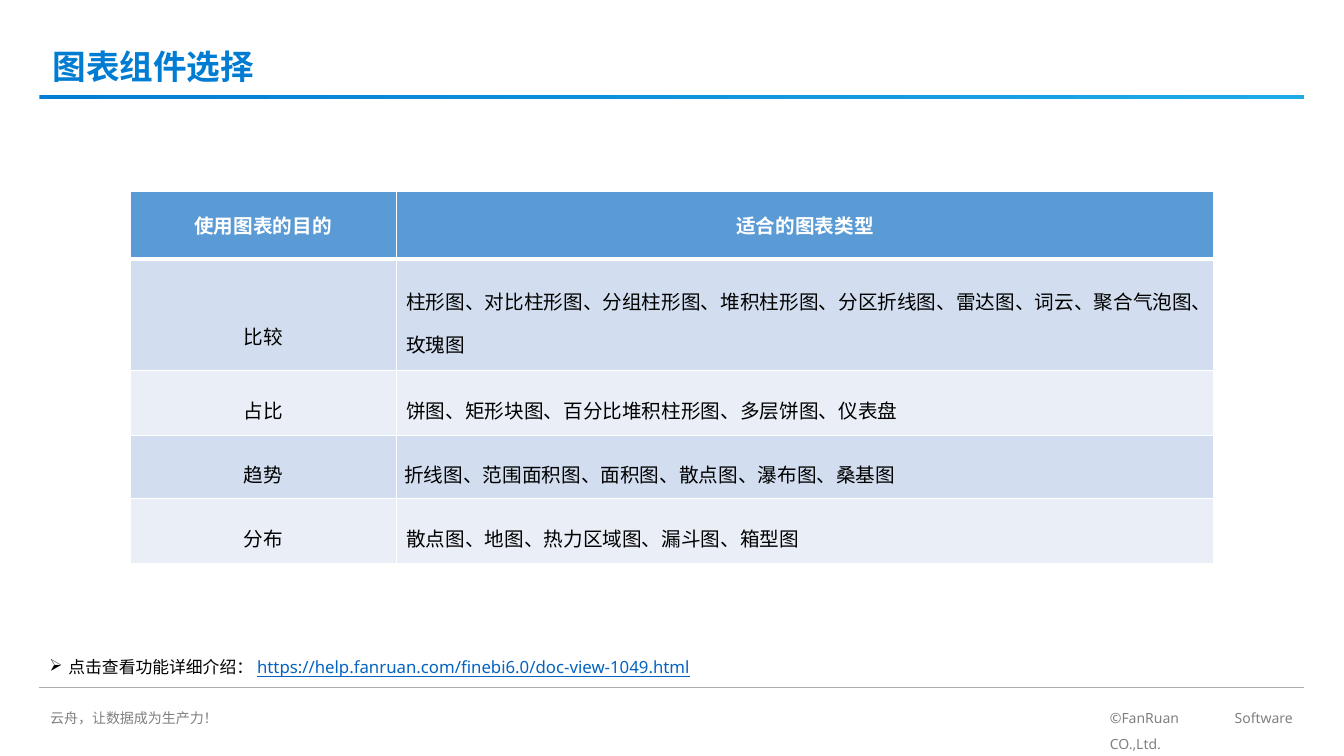
import pptx
import pptx.util
from lxml import etree
from pptx.dml.color import RGBColor
from pptx.enum.dml import MSO_THEME_COLOR
from pptx.enum.shapes import MSO_CONNECTOR, MSO_SHAPE
from pptx.enum.text import MSO_ANCHOR, PP_ALIGN
from pptx.oxml.ns import qn
from pptx.util import Inches, Pt

BLUE = RGBColor(0x00, 0x7D, 0xD2)
LIGHT_BLUE = RGBColor(0x1E, 0xAA, 0xE6)
HEADER_BLUE = RGBColor(0x5B, 0x9B, 0xD5)
BANDS = (RGBColor(0xD2, 0xDE, 0xEF), RGBColor(0xEA, 0xEF, 0xF7))
LINK_BLUE = RGBColor(0x05, 0x63, 0xC1)
GREY = RGBColor(0x80, 0x80, 0x80)
RULE_GREY = RGBColor(0xAF, 0xAB, 0xAB)
BLACK = RGBColor(0, 0, 0)
WHITE = RGBColor(0xFF, 0xFF, 0xFF)

ROWS = [
    ("使用图表的目的", "适合的图表类型"),
    ("比较", "柱形图、对比柱形图、分组柱形图、堆积柱形图、分区折线图、雷达图、词云、聚合气泡图、玫瑰图"),
    ("占比", "饼图、矩形块图、百分比堆积柱形图、多层饼图、仪表盘"),
    ("趋势", "折线图、范围面积图、面积图、散点图、瀑布图、桑基图"),
    ("分布", "散点图、地图、热力区域图、漏斗图、箱型图"),
]
COLUMN_WIDTHS = (2.64, 8.11)
ROW_HEIGHTS = (0.67, 1.11, 0.64, 0.63, 0.64)


class SlideBuilder:
    font = "Noto Sans"

    def __init__(self, page):
        self.page = page

    def style(self, para, size, color, bold=False, font=None):
        para.font.name = font or self.font
        para.font.size = Pt(size)
        para.font.color.rgb = color
        para.font.bold = bold

    def title(self, text, left, top, width, height):
        title = self.page.shapes.title
        title.left, title.top = Inches(left), Inches(top)
        title.width, title.height = Inches(width), Inches(height)
        title.text_frame.text = text
        title.text_frame.vertical_anchor = MSO_ANCHOR.MIDDLE
        para = title.text_frame.paragraphs[0]
        para.alignment = PP_ALIGN.LEFT
        para.line_spacing = 0.9
        self.style(para, 24, BLUE, bold=True)

    def gradient_bar(self, left, top, width, height):
        bar = self.page.shapes.add_shape(
            MSO_SHAPE.RECTANGLE, Inches(left), Inches(top), Inches(width), Inches(height))
        bar.shadow.inherit = False
        bar.line.fill.background()
        bar.fill.gradient()
        bar.fill.gradient_angle = 0
        for stop, color, position in zip(bar.fill.gradient_stops, (BLUE, LIGHT_BLUE), (0, 1)):
            stop.color.rgb = color
            stop.position = position

    def rule(self, left, right, top):
        rule = self.page.shapes.add_connector(
            MSO_CONNECTOR.STRAIGHT, Inches(left), Inches(top), Inches(right), Inches(top))
        rule.line.color.rgb = RULE_GREY
        rule.line.width = Pt(0.5)
        etree.SubElement(rule._element.spPr, qn("a:effectLst"))

    def text_box(self, left, top, width, height):
        """Add a wrapping text box and return its first paragraph."""
        box = self.page.shapes.add_textbox(
            Inches(left), Inches(top), Inches(width), Inches(height))
        box.text_frame.word_wrap = True
        return box.text_frame.paragraphs[0]

    def footer(self, text, left, width, font=None):
        para = self.text_box(left, 6.91, width, 0.33)
        para.text = text
        para.alignment = PP_ALIGN.JUSTIFY
        para.line_spacing = 1.5
        self.style(para, 10, GREY, font=font)

    def bullet_link(self, label, address, left, top, width, height):
        para = self.text_box(left, top, width, height)
        properties = para._p.get_or_add_pPr()
        properties.set("marL", str(Inches(0.19)))
        properties.set("indent", str(-Inches(0.19)))
        etree.SubElement(properties, qn("a:buChar"), char="➢")
        para.add_run().text = label
        span = para.add_run()
        span.text = address
        self.style(para, 12, BLACK)
        span.font.color.rgb = LINK_BLUE
        span.font.underline = True

    def borders(self, cell, bottom, top):
        properties = cell._tc.get_or_add_tcPr()
        widths = {"lnL": 1, "lnR": 1, "lnT": top, "lnB": bottom}
        for index, (side, width) in enumerate(widths.items()):
            line = etree.Element(qn(f"a:{side}"), w=str(Pt(width)))
            fill = etree.SubElement(line, qn("a:solidFill"))
            etree.SubElement(fill, qn("a:srgbClr"), val=str(WHITE))
            properties.insert(index, line)

    def table(self, left, top):
        table = self.page.shapes.add_table(
            len(ROWS), len(COLUMN_WIDTHS), Inches(left), Inches(top),
            Inches(sum(COLUMN_WIDTHS)), Inches(sum(ROW_HEIGHTS))).table
        for column, width in zip(table.columns, COLUMN_WIDTHS):
            column.width = Inches(width)
        for row, height in zip(table.rows, ROW_HEIGHTS):
            row.height = Inches(height)
        for row_index, texts in enumerate(ROWS):
            header = row_index == 0
            for column_index, text in enumerate(texts):
                cell = table.cell(row_index, column_index)
                cell.text = text
                cell.vertical_anchor = MSO_ANCHOR.MIDDLE
                cell.fill.solid()
                cell.fill.fore_color.rgb = HEADER_BLUE if header else BANDS[(row_index - 1) % 2]
                self.borders(cell, bottom=3 if header else 1, top=3 if row_index == 1 else 1)
                para = cell.text_frame.paragraphs[0]
                centred = header or column_index == 0
                para.alignment = PP_ALIGN.CENTER if centred else PP_ALIGN.LEFT
                if not header:
                    para.line_spacing = 1.5
                self.style(para, 14, WHITE if header else BLACK, bold=header)
        table.cell(1, 0).text_frame.paragraphs[0].line_spacing = 2.5
        trend = table.cell(3, 1)
        trend.margin_left = trend.margin_right = Inches(0.08)
        trend.margin_top = trend.margin_bottom = Inches(0.04)


def main():
    deck = pptx.Presentation()
    deck.slide_width, deck.slide_height = Inches(13.33), Inches(7.5)
    builder = SlideBuilder(deck.slides.add_slide(deck.slide_layouts[5]))
    builder.gradient_bar(0.39, 0.94, 12.54, 0.04)
    builder.rule(0.39, 12.93, 6.82)
    builder.footer("©FanRuan Software CO.,Ltd.", 10.91, 2.01)
    builder.footer("云舟，让数据成为生产力！", 0.4, 2, font="Noto Sans CJK SC")
    builder.table(1.29, 1.9)
    builder.bullet_link("点击查看功能详细介绍： ",
                        "https://help.fanruan.com/finebi6.0/doc-view-1049.html",
                        0.39, 6.47, 11.82, 0.3)
    builder.title("图表组件选择", 0.42, 0.45, 10.88, 0.47)
    deck.save("out.pptx")


if __name__ == "__main__":
    main()
